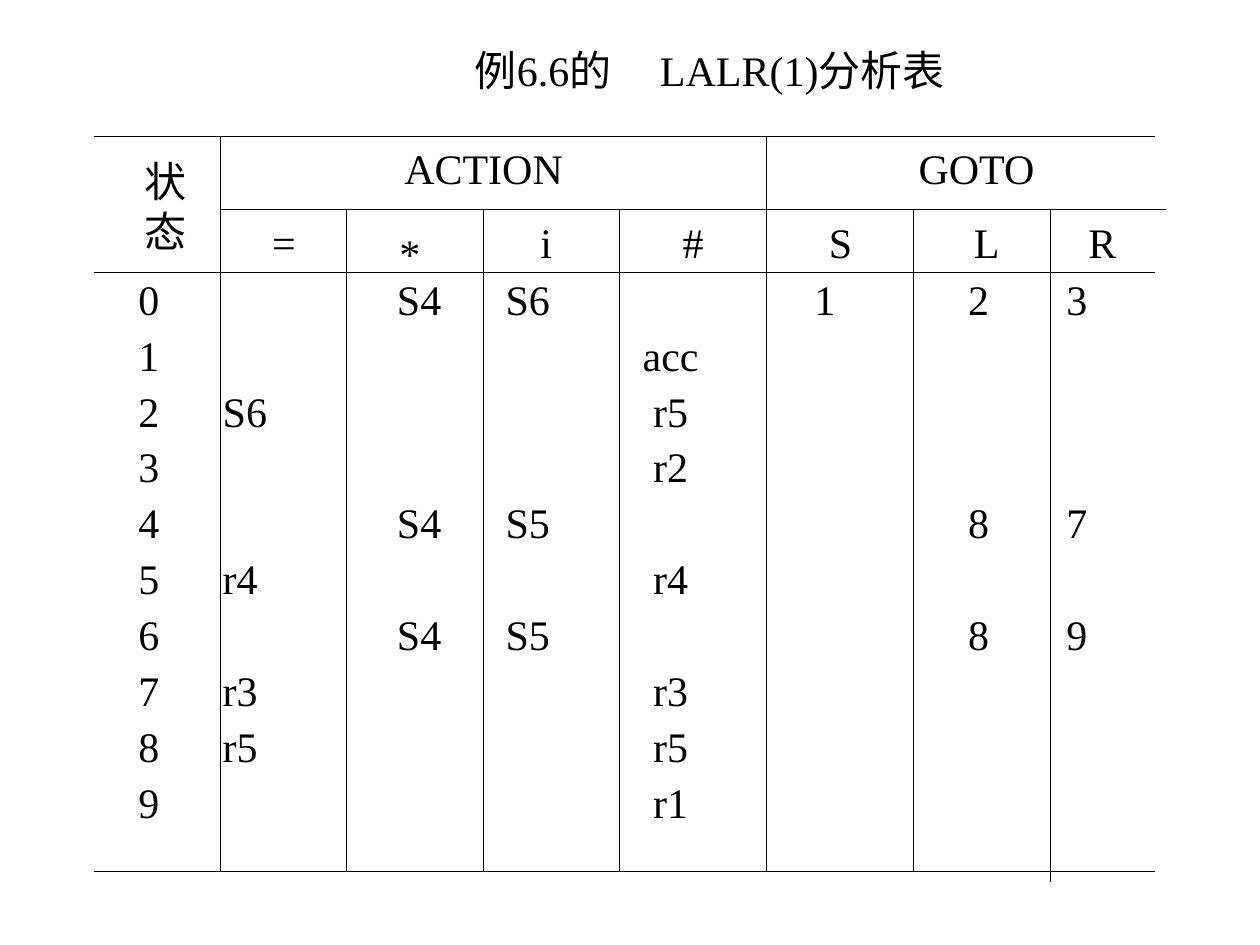
from lxml import etree
from pptx import Presentation
from pptx import util as u
from pptx.dml.color import RGBColor
from pptx.enum import shapes, text
from pptx.oxml import ns

COLORS = {"ink": "000000", "paper": "FFFFFF"}
FONT = "Times New Roman"
LEFT, RIGHT, TOP, SPLIT, HEAD, BOTTOM = 1.9, 23.28, 2.75, 4.23, 5.5, 17.57
GROUP_EDGES = [4.45, 15.45]
COLUMN_EDGES = [6.99, 9.74, 12.49, 18.42]
LAST_EDGE = 21.17
GROUPS = [("ACTION", 7.9, 3.7), ("GOTO", 18.26, 2.85)]
SYMBOLS = [("=", 5.23, 0.99), ("*", 7.8, 0.91), ("i", 10.64, 0.74), ("#", 13.51, 0.91),
           ("S", 16.46, 0.97), ("L", 19.38, 1.02), ("R", 21.69, 1.07)]
TABS = [(1.7, "l"), (5.66, "ctr"), (7.85, "ctr"), (10.73, "ctr"),
        (13.84, "ctr"), (16.94, "ctr"), (18.92, "ctr")]
ROWS = [
    ["0", "", "S4", "S6", "", "1", "2", "3"],
    ["1", "", "", "", "acc"],
    ["2", "S6", "", "", "r5"],
    ["3", "", "", "", "r2"],
    ["4", "", "S4", "S5", "", "", "8", "7"],
    ["5", "r4", "", "", "r4"],
    ["6", "", "S4", "S5", "", "", "8", "9"],
    ["7", "r3", "", "", "r3"],
    ["8", "r5", "", "", "r5"],
    ["9", "", "", "", "r1"],
]


def color(name):
    """Return a named colour."""
    return RGBColor.from_string(COLORS[name])


def add_run(paragraph, content):
    """Add one formatted run."""
    run = paragraph.add_run()
    run.text = content
    run.font.size = u.Pt(24)
    run.font.name = FONT
    run.font.color.rgb = color("ink")


def add_tabs(paragraph, stops):
    """Give a paragraph its tab stops."""
    tab_list = etree.SubElement(paragraph._p.get_or_add_pPr(), ns.qn("a:tabLst"))
    for position, alignment in stops:
        etree.SubElement(tab_list, ns.qn("a:tab"), pos=str(u.Cm(position)), algn=alignment)


def add_line(slide, start_x, start_y, end_x, end_y):
    """Draw a thin rule of the table."""
    line = slide.shapes.add_connector(shapes.MSO_CONNECTOR.STRAIGHT, u.Cm(start_x),
                                      u.Cm(start_y), u.Cm(end_x), u.Cm(end_y))
    line.line.color.rgb = color("ink")
    line.line.width = u.Pt(0.75)
    etree.SubElement(line._element.spPr, ns.qn("a:effectLst"))


def add_label(slide, lines, left, top, width, height=1.27):
    """Add a centred heading label."""
    box = slide.shapes.add_textbox(u.Cm(left), u.Cm(top), u.Cm(width), u.Cm(height))
    frame = box.text_frame
    frame.word_wrap = False
    frame.vertical_anchor = text.MSO_ANCHOR.MIDDLE
    for index, content in enumerate(lines):
        paragraph = frame.add_paragraph() if index else frame.paragraphs[0]
        paragraph.alignment = text.PP_ALIGN.CENTER
        add_run(paragraph, content)


def add_title(slide):
    """Place and fill the title."""
    title = slide.shapes.title
    title.left, title.top, title.width, title.height = map(u.Cm, (9.32, 0.76, 10.36, 1.27))
    frame = title.text_frame
    frame.word_wrap = False
    frame.auto_size = text.MSO_AUTO_SIZE.NONE
    frame.vertical_anchor = text.MSO_ANCHOR.TOP
    paragraph = frame.paragraphs[0]
    paragraph.alignment = text.PP_ALIGN.LEFT
    add_tabs(paragraph, [(3.73, "l")])
    add_run(paragraph, "例6.6的\tLALR(1)分析表")


def add_rows(slide):
    """Write the state rows on tab stops."""
    box = slide.shapes.add_textbox(u.Cm(2.11), u.Cm(HEAD), u.Cm(21.59), u.Cm(11.43))
    frame = box.text_frame
    frame.word_wrap = True
    frame.margin_left = u.Cm(0.68)
    for index, row in enumerate(ROWS):
        paragraph = frame.add_paragraph() if index else frame.paragraphs[0]
        paragraph.line_spacing = 0.9
        paragraph.space_before = u.Pt(6 if index else 0)
        add_tabs(paragraph, TABS)
        add_run(paragraph, "\t".join(row))


def add_grid(slide):
    """Draw all rules of the table."""
    for edge in GROUP_EDGES:
        add_line(slide, edge, TOP, edge, BOTTOM)
    for edge in COLUMN_EDGES:
        add_line(slide, edge, SPLIT, edge, BOTTOM)
    add_line(slide, LAST_EDGE, SPLIT, LAST_EDGE, 17.78)
    for level in (HEAD, TOP, BOTTOM):
        add_line(slide, LEFT, level, RIGHT, level)
    add_line(slide, GROUP_EDGES[0], SPLIT, 23.5, SPLIT)


def add_headings(slide):
    """Add the group, symbol and state headings."""
    for name, left, width in GROUPS:
        add_label(slide, [name], left, TOP, width)
    for name, left, width in SYMBOLS:
        add_label(slide, [name], left, 4.45 if name == "*" else SPLIT, width)
    add_label(slide, ["状", "态"], 2.67, 3, 1.35, 2.29)


def main():
    """Build and save the slide."""
    presentation = Presentation()
    presentation.slide_width, presentation.slide_height = u.Cm(25.4), u.Cm(19.05)
    slide = presentation.slides.add_slide(presentation.slide_layouts[5])
    slide.background.fill.solid()
    slide.background.fill.fore_color.rgb = color("paper")
    add_title(slide)
    add_rows(slide)
    add_grid(slide)
    add_headings(slide)
    presentation.save("out.pptx")


if __name__ == "__main__":
    main()
